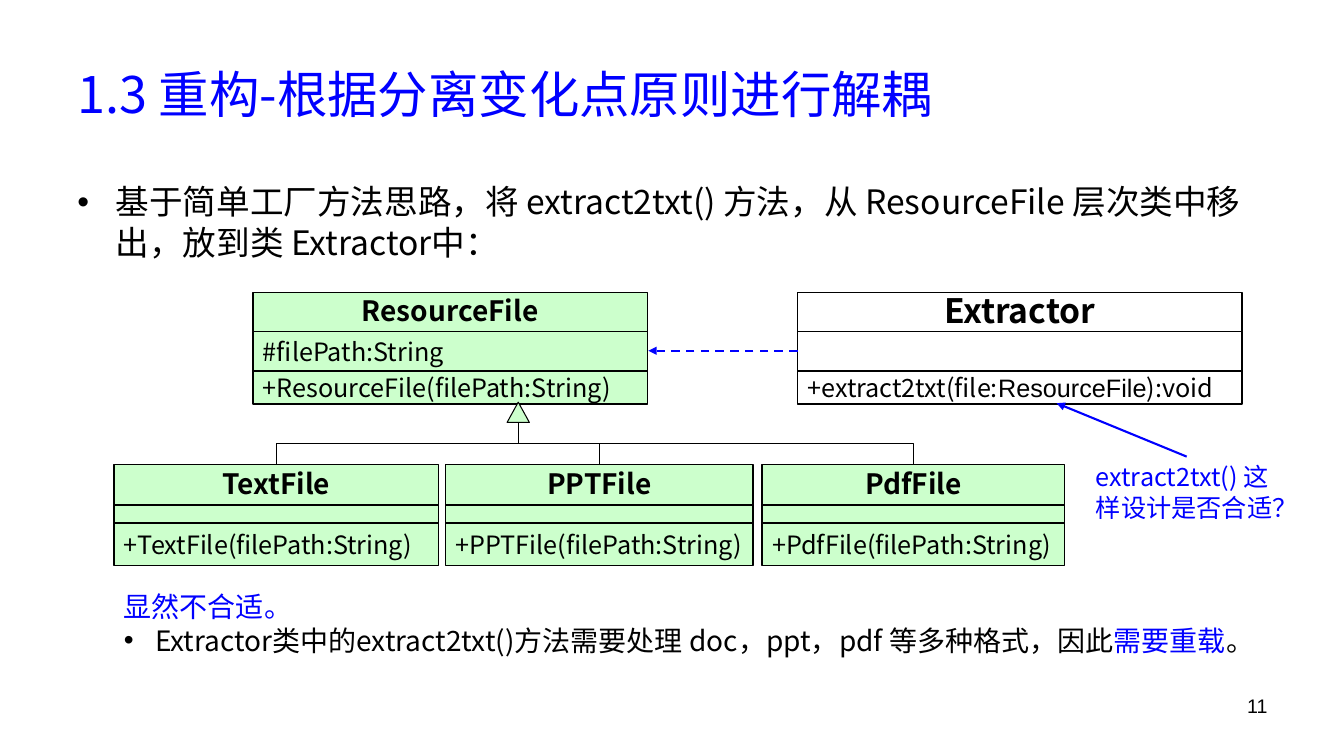
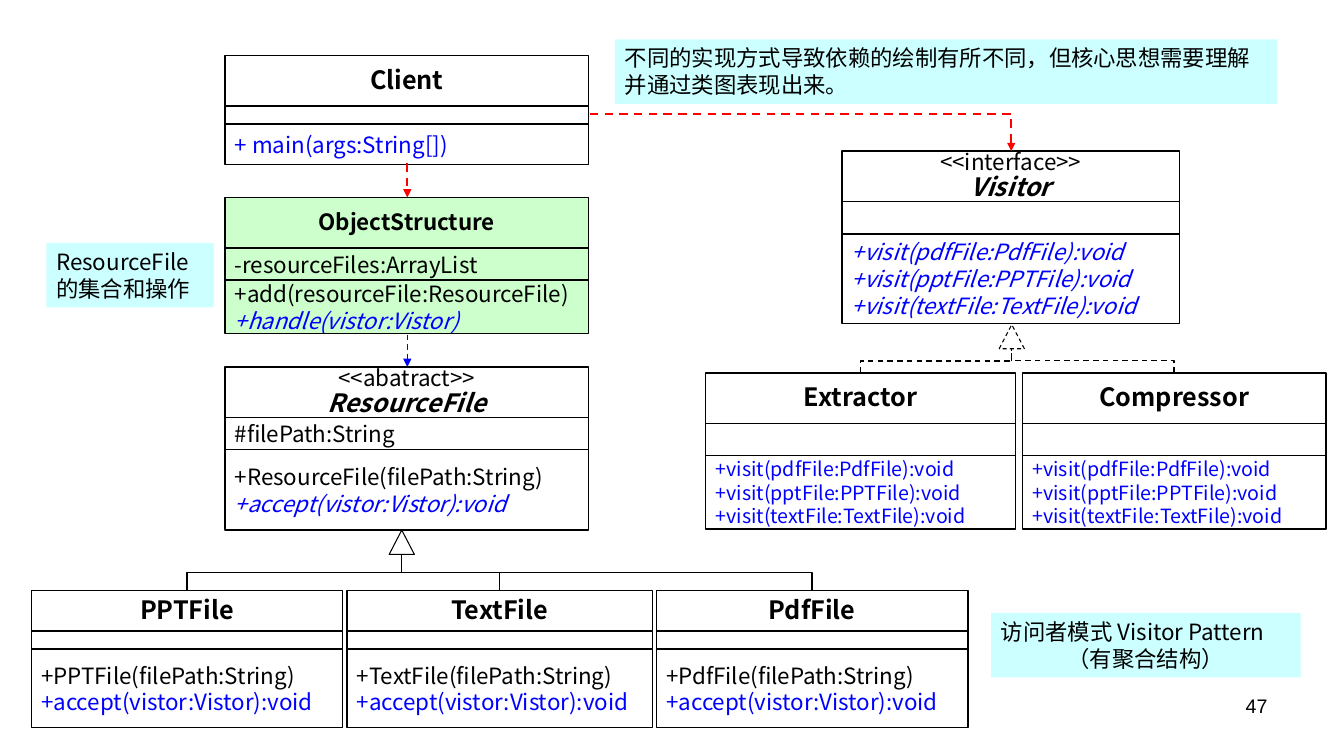
"""Builds two class-diagram slides: a refactoring step and the Visitor pattern."""
from dataclasses import dataclass

from lxml import etree
from pptx import Presentation
from pptx.dml.color import RGBColor
from pptx.enum.dml import MSO_LINE
from pptx.enum.shapes import MSO_CONNECTOR, MSO_SHAPE
from pptx.enum.text import MSO_ANCHOR, PP_ALIGN
from pptx.oxml.ns import qn
from pptx.slide import Slide
from pptx.util import Pt

PX = 9144
SANS, ARIAL = "Noto Sans CJK SC", "Arial"
COLORS = {
    "ink": "000000",
    "blue": "0000FF",
    "red": "FF0000",
    "green": "CCFFCC",
    "cyan": "CCFFFF",
    "white": "FFFFFF",
}
LEFT, CENTER, RIGHT, JUSTIFY = PP_ALIGN.LEFT, PP_ALIGN.CENTER, PP_ALIGN.RIGHT, PP_ALIGN.JUSTIFY
TOP, MIDDLE = MSO_ANCHOR.TOP, MSO_ANCHOR.MIDDLE
RECTANGLE, TRIANGLE = MSO_SHAPE.RECTANGLE, MSO_SHAPE.ISOSCELES_TRIANGLE
STRAIGHT, ELBOW = MSO_CONNECTOR.STRAIGHT, MSO_CONNECTOR.ELBOW
DASH = MSO_LINE.DASH
BODY_LEADING, NAME_LEADING = 1.2, 1.08


@dataclass(frozen=True)
class Run:
    text: str
    color: str = "ink"
    bold: bool = False
    italic: bool = False
    font: str = SANS


@dataclass(frozen=True)
class Par:
    runs: tuple[Run, ...]
    size: int
    align: int = LEFT
    leading: float = BODY_LEADING
    before: int = 0
    bullet: int = 0


@dataclass(frozen=True)
class ClassBox:
    x: int
    y: int
    w: int
    heights: tuple[int, int, int]
    name: list[Par]
    fields: list[Par]
    methods: list[Par]
    fill: str = ""


@dataclass(frozen=True)
class Note:
    x: int
    y: int
    w: int
    h: int
    pars: list[Par]
    fill: str = ""
    anchor: int = TOP


def rgb(name: str) -> RGBColor:
    return RGBColor.from_string(COLORS[name])


def line_of(text: str, size: int, color: str = "ink", italic: bool = False, align: int = LEFT) -> Par:
    return Par((Run(text, color, italic=italic),), size, align)


def name_of(text: str, size: int, bold: bool = True, italic: bool = False) -> Par:
    return Par((Run(text, bold=bold, italic=italic),), size, CENTER, NAME_LEADING)


def stereotype(label: str, name: str) -> list[Par]:
    return [name_of(label, 16, bold=False), name_of(name, 18, italic=True)]


def set_text(shape, pars: list[Par], anchor: int) -> None:
    tf = shape.text_frame
    tf.word_wrap = True
    tf.vertical_anchor = anchor
    for i, par in enumerate(pars):
        p = tf.paragraphs[0] if i == 0 else tf.add_paragraph()
        p.alignment = par.align
        p.line_spacing = Pt(round(par.size * par.leading, 1))
        p.space_before = Pt(par.before)
        if par.bullet:
            pPr = p._p.get_or_add_pPr()
            pPr.set("marL", str(par.bullet * PX))
            pPr.set("indent", str(-par.bullet * PX))
            etree.SubElement(pPr, qn("a:buFont")).set("typeface", ARIAL)
            etree.SubElement(pPr, qn("a:buChar")).set("char", "•")
        for run in par.runs:
            r = p.add_run()
            r.text = run.text
            r.font.size = Pt(par.size)
            r.font.bold, r.font.italic = run.bold, run.italic
            r.font.color.rgb = rgb(run.color)
            r.font.name = run.font
            etree.SubElement(r._r.get_or_add_rPr(), qn("a:ea")).set("typeface", run.font)


def set_fill(shape, fill: str) -> None:
    if fill:
        shape.fill.solid()
        shape.fill.fore_color.rgb = rgb(fill)
    else:
        shape.fill.background()


def set_line(shape, color: str, width: float, dashed: bool) -> None:
    shape.line.color.rgb = rgb(color)
    shape.line.width = Pt(width)
    if dashed:
        shape.line.dash_style = DASH


def add_outlined(s: Slide, kind: int, x: int, y: int, w: int, h: int, fill: str,
                 width: float = 1, dashed: bool = False):
    sp = s.shapes.add_shape(kind, x * PX, y * PX, w * PX, h * PX)
    sp.shadow.inherit = False
    set_fill(sp, fill)
    set_line(sp, "ink", width, dashed)
    return sp


def add_class(s: Slide, box: ClassBox) -> None:
    y = box.y
    for h, pars in zip(box.heights, (box.name, box.fields, box.methods)):
        sp = add_outlined(s, RECTANGLE, box.x, y, box.w, h, box.fill)
        set_text(sp, pars, MIDDLE)
        y += h


def add_note(s: Slide, note: Note) -> None:
    sp = s.shapes.add_textbox(note.x * PX, note.y * PX, note.w * PX, note.h * PX)
    set_fill(sp, note.fill)
    set_text(sp, note.pars, note.anchor)


def add_link(s: Slide, kind: int, start: tuple[float, float], end: tuple[float, float],
             color: str = "ink", width: float = 1, dashed: bool = False, arrow: bool = True):
    ends = [round(v * PX) for v in (*start, *end)]
    link = s.shapes.add_connector(kind, *ends)
    set_line(link, color, width, dashed)
    if arrow:
        etree.SubElement(link.line._get_or_add_ln(), qn("a:tailEnd")).set("type", "triangle")
    etree.SubElement(link._element.spPr, qn("a:effectLst"))
    return link


def add_corner(s: Slide, start: tuple[int, int], end: tuple[int, int], color: str) -> None:
    link = add_link(s, ELBOW, start, end, color, 1.5, True)
    link._element.spPr.find(qn("a:prstGeom")).set("prst", "bentConnector2")


def add_inheritance(s: Slide, x: int, y: int, w: int, h: int, fill: str,
                    children: list[ClassBox], dashed: bool = False) -> None:
    add_outlined(s, TRIANGLE, x - w // 2, y, w, h, fill, 0.75, dashed)
    for child in children:
        child_x, base = child.x + child.w / 2, y + h
        mid_x, mid_y = (child_x + x) / 2, (child.y + base) / 2
        half_w, half_h = (child.y - base) / 2, (child_x - x) / 2
        link = add_link(s, ELBOW, (mid_x - half_w, mid_y + half_h),
                        (mid_x + half_w, mid_y - half_h), dashed=dashed, arrow=False)
        link._element.spPr.find(qn("a:xfrm")).set("rot", str(270 * 60000))


def add_page(prs, number: int) -> Slide:
    s = prs.slides.add_slide(prs.slide_layouts[6])
    add_note(s, Note(956, 683, 311, 52, [Par((Run(str(number), font=ARIAL),), 14, RIGHT)]))
    return s


def build_refactoring(prs) -> None:
    s = add_page(prs, 11)
    notes = [
        Note(67, 30, 1200, 125, [line_of("1.3 重构-根据分离变化点原则进行解耦", 36, "blue")], anchor=MIDDLE),
        Note(67, 175, 1200, 495, [Par((Run(
            "基于简单工厂方法思路，将 extract2txt() 方法，从 ResourceFile 层次类中移出，放到类 Extractor中："),),
            24, before=4, bullet=38)]),
        Note(1077, 453, 201, 71, [line_of("extract2txt() 这样设计是否合适？", 18, "blue")]),
        Note(113, 580, 1196, 77, [
            line_of("显然不合适。", 20, "blue", align=JUSTIFY),
            Par((Run("Extractor类中的extract2txt()方法需要处理 doc，ppt，pdf 等多种格式，因此"),
                 Run("需要重载", "blue"), Run("。")), 20, JUSTIFY, bullet=31),
        ]),
    ]
    children = [
        ClassBox(x, 461, w, (40, 18, 42), [name_of(name, 20)], [],
                 [line_of(f"+{name}(filePath:String)", 18)], "green")
        for name, x, w in (("TextFile", 113, 322), ("PPTFile", 442, 305), ("PdfFile", 756, 300))
    ]
    extract = Par((Run("+extract2txt(file:"), Run("ResourceFile", font=ARIAL), Run("):void")), 18)
    parents = [
        ClassBox(251, 290, 391, (39, 39, 33), [name_of("ResourceFile", 20)],
                 [line_of("#filePath:String", 18)],
                 [line_of("+ResourceFile(filePath:String)", 18)], "green"),
        ClassBox(791, 290, 441, (39, 39, 33), [name_of("Extractor", 24)], [], [extract]),
    ]
    for note in notes:
        add_note(s, note)
    for box in parents + children:
        add_class(s, box)
    add_inheritance(s, 514, 399, 22, 20, "green", children)
    add_link(s, STRAIGHT, (791, 348), (643, 348), "blue", 1.5, True)
    add_link(s, STRAIGHT, (1177, 453), (1048, 400), "blue", 1.5)


def build_visitor(prs) -> None:
    s = add_page(prs, 47)
    visits = [f"+visit({kind.lower()}File:{kind}File):void" for kind in ("Pdf", "PPT", "Text")]
    accept = "+accept(vistor:Vistor):void"
    files = [
        ClassBox(x, 586, w, (40, 18, 78), [name_of(name, 18)], [],
                 [line_of(f"+{name}(filePath:String)", 16), line_of(accept, 16, "blue")])
        for name, x, w in (("PPTFile", 31, 309), ("TextFile", 344, 303), ("PdfFile", 651, 309))
    ]
    visitors = [
        ClassBox(x, 370, w, (50, 32, 73), [name_of(name, 18)], [],
                 [line_of(visit, 14, "blue") for visit in visits])
        for name, x, w in (("Extractor", 700, 307), ("Compressor", 1014, 301))
    ]
    parents = [
        ClassBox(223, 55, 361, (50, 18, 40), [name_of("Client", 18)], [],
                 [line_of("+ main(args:String[])", 16, "blue")]),
        ClassBox(223, 196, 361, (50, 32, 53), [name_of("ObjectStructure", 16)],
                 [line_of("-resourceFiles:ArrayList", 16)],
                 [line_of("+add(resourceFile:ResourceFile)", 16),
                  line_of("+handle(vistor:Vistor)", 16, "blue", True)], "green"),
        ClassBox(223, 364, 361, (50, 32, 80), stereotype("<<abatract>>", "ResourceFile"),
                 [line_of("#filePath:String", 16)],
                 [line_of("+ResourceFile(filePath:String)", 16), line_of(accept, 16, "blue", True)]),
        ClassBox(835, 150, 335, (50, 32, 89), stereotype("<<interface>>", "Visitor"), [],
                 [line_of(visit, 16, "blue", True) for visit in visits]),
    ]
    notes = [
        Note(610, 39, 657, 64, [line_of(
            "不同的实现方式导致依赖的绘制有所不同，但核心思想需要理解并通过类图表现出来。", 16)], "cyan"),
        Note(46, 241, 166, 64, [line_of("ResourceFile的集合和操作", 16)], "cyan"),
        Note(983, 608, 307, 64, [line_of("访问者模式 Visitor Pattern", 16),
                                 line_of("（有聚合结构）", 16, align=CENTER)], "cyan"),
    ]
    for box in parents + files + visitors:
        add_class(s, box)
    add_inheritance(s, 1003, 322, 25, 24, "white", visitors, dashed=True)
    add_inheritance(s, 398, 526, 25, 24, "white", files)
    add_link(s, STRAIGHT, (404, 162), (404, 196), "red", 1.5, True)
    add_link(s, STRAIGHT, (404, 332), (404, 364), "blue", 1, True)
    add_corner(s, (585, 113), (1003, 150), "red")
    for note in notes:
        add_note(s, note)


def main() -> None:
    prs = Presentation()
    prs.slide_width, prs.slide_height = 1333 * PX, 750 * PX
    build_refactoring(prs)
    build_visitor(prs)
    prs.save("out.pptx")


if __name__ == "__main__":
    main()
